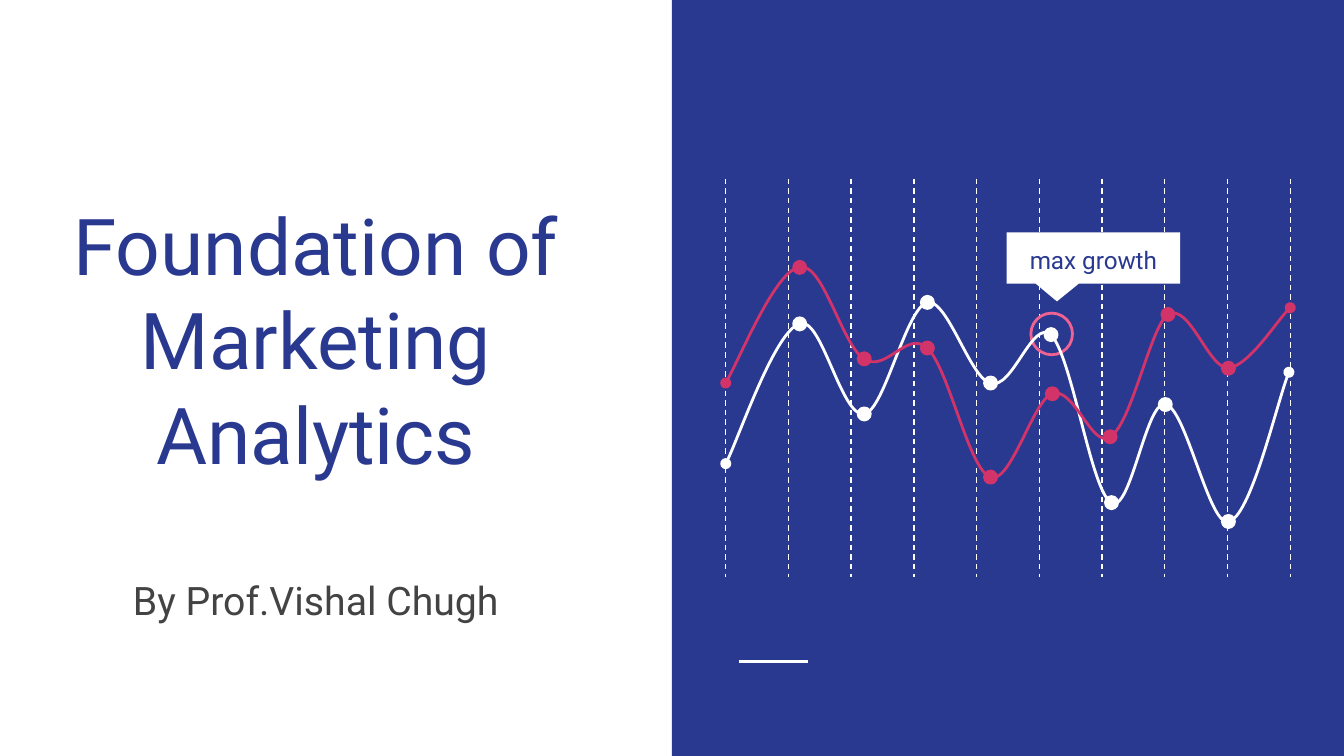
from lxml.etree import SubElement
from pptx import Presentation
from pptx.dml.color import RGBColor
from pptx.enum.dml import MSO_LINE
from pptx.enum.shapes import MSO_CONNECTOR, MSO_SHAPE
from pptx.enum.text import MSO_ANCHOR, MSO_AUTO_SIZE, PP_ALIGN
from pptx.oxml.ns import qn
from pptx.util import Inches, Pt

BLUE, WHITE, RED, PINK, GREY = "2A3990", "FFFFFF", "D23369", "F06292", "434343"
SLIDE_WIDTH = 10
SLIDE_HEIGHT = SLIDE_WIDTH * 9 / 16
DOT = 0.09
LINE_COUNT, GRID_LEFT, GRID_RIGHT = 10, 5.4, 9.6

# Each curve is a start point, then two control points and an end point per segment.
WHITE_CURVE = [
    (5.4, 3.45),
    (5.49, 3.28), (5.77, 2.46), (5.95, 2.41),
    (6.11, 2.34), (6.26, 3.11), (6.43, 3.08),
    (6.58, 3.06), (6.74, 2.29), (6.9, 2.25),
    (7.05, 2.22), (7.22, 2.82), (7.37, 2.85),
    (7.53, 2.91), (7.68, 2.37), (7.82, 2.49),
    (7.98, 2.66), (8.12, 3.67), (8.27, 3.74),
    (8.41, 3.83), (8.53, 2.97), (8.67, 3.01),
    (8.82, 3.02), (9, 3.93), (9.14, 3.88),
    (9.3, 3.86), (9.51, 2.96), (9.59, 2.77),
]
RED_CURVE = [
    (5.4, 2.85),
    (5.49, 2.7), (5.78, 2), (5.95, 1.99),
    (6.12, 1.94), (6.27, 2.58), (6.43, 2.67),
    (6.59, 2.78), (6.75, 2.45), (6.9, 2.59),
    (7.06, 2.74), (7.21, 3.5), (7.37, 3.55),
    (7.52, 3.61), (7.69, 2.97), (7.83, 2.93),
    (7.99, 2.87), (8.13, 3.35), (8.26, 3.25),
    (8.42, 3.16), (8.56, 2.43), (8.69, 2.34),
    (8.85, 2.25), (8.99, 2.74), (9.14, 2.74),
    (9.29, 2.72), (9.52, 2.36), (9.6, 2.29),
]


def rgb(color):
    return RGBColor.from_string(color)


def set_line(sp, color, width=1.5):
    sp.line.color.rgb = rgb(color)
    sp.line.width = Pt(width)


def add_shape(slide, kind, left, top, width, height, fill=None, line=None):
    sp = slide.shapes.add_shape(
        kind, Inches(left), Inches(top), Inches(width), Inches(height))
    sp.shadow.inherit = False
    if fill:
        sp.fill.solid()
        sp.fill.fore_color.rgb = rgb(fill)
    else:
        sp.fill.background()
    if line:
        set_line(sp, line)
    else:
        sp.line.fill.background()
    return sp


def add_line(slide, x1, y1, x2, y2, width):
    line = slide.shapes.add_connector(
        MSO_CONNECTOR.STRAIGHT, Inches(x1), Inches(y1), Inches(x2), Inches(y2))
    set_line(line, WHITE, width)
    SubElement(line._element.spPr, qn("a:effectLst"))
    return line


def add_curve(slide, points, color):
    """Draw a Bezier curve with round ends and a dot at each inner anchor."""
    start, *rest = [(Inches(x), Inches(y)) for x, y in points]
    builder = slide.shapes.build_freeform(*start)
    builder.add_line_segments(rest, close=False)
    sp = builder.convert_to_shape()
    sp.shadow.inherit = False
    sp.fill.background()
    set_line(sp, color)
    ln = sp.line._get_or_add_ln()
    for end in ("a:headEnd", "a:tailEnd"):
        SubElement(ln, qn(end), type="oval")

    # Turn every three straight segments into one cubic segment.
    segments = list(sp._element.iter(qn("a:lnTo")))
    outline = segments[0].getparent()
    for i in range(0, len(segments), 3):
        cubic = SubElement(outline, qn("a:cubicBezTo"))
        for segment in segments[i:i + 3]:
            cubic.append(segment[0])
            outline.remove(segment)

    for x, y in points[3:-1:3]:
        add_shape(slide, MSO_SHAPE.OVAL, x - DOT / 2, y - DOT / 2, DOT, DOT, color, color)


def set_text(sp, text, left, top, width, height, size, color, anchor=MSO_ANCHOR.TOP):
    sp.left, sp.top = Inches(left), Inches(top)
    sp.width, sp.height = Inches(width), Inches(height)
    tf = sp.text_frame
    tf.text = text
    tf.word_wrap = True
    tf.auto_size = MSO_AUTO_SIZE.NONE
    tf.vertical_anchor = anchor
    tf.margin_left = tf.margin_right = tf.margin_top = tf.margin_bottom = Inches(0.1)
    p = tf.paragraphs[0]
    p.alignment = PP_ALIGN.CENTER
    font = p.runs[0].font
    font.name, font.size = "Roboto", Pt(size)
    font.color.rgb = rgb(color)
    return p


def add_text(slide, *args):
    return set_text(slide.shapes.add_textbox(0, 0, 0, 0), *args)


def add_grid(slide):
    step = (GRID_RIGHT - GRID_LEFT) / (LINE_COUNT - 1)
    for i in range(LINE_COUNT):
        x = GRID_LEFT + i * step
        add_line(slide, x, 1.33, x, 4.29, 0.75).line.dash_style = MSO_LINE.DASH


def add_callout(slide):
    sp = add_shape(slide, MSO_SHAPE.ROUNDED_RECTANGULAR_CALLOUT,
                   7.49, 1.73, 1.29, 0.38, WHITE)
    for i, value in enumerate((-0.21, 0.85, 0)):
        sp.adjustments[i] = value


def main():
    prs = Presentation()
    prs.slide_width, prs.slide_height = Inches(SLIDE_WIDTH), Inches(SLIDE_HEIGHT)
    slide = prs.slides.add_slide(prs.slide_layouts[5])

    add_shape(slide, MSO_SHAPE.RECTANGLE, SLIDE_WIDTH / 2, 0,
              SLIDE_WIDTH / 2, SLIDE_HEIGHT, BLUE)
    add_line(slide, 5.5, 4.92, 6.01, 4.92, 1.5)
    set_text(slide.shapes.title, "Foundation of Marketing Analytics",
             0.14, 1.96, 4.42, 1.71, 42, BLUE, MSO_ANCHOR.BOTTOM)
    add_text(slide, "By Prof.Vishal Chugh", 0.14, 4.19, 4.42, 0.56, 21, GREY)

    add_grid(slide)
    add_shape(slide, MSO_SHAPE.OVAL, 7.67, 2.33, 0.31, 0.31, line=PINK)
    add_curve(slide, WHITE_CURVE, WHITE)
    add_callout(slide)
    add_curve(slide, RED_CURVE, RED)
    p = add_text(slide, "max growth", 7.49, 1.76, 1.29, 0.31, 13, BLUE, MSO_ANCHOR.MIDDLE)
    p.line_spacing = 1.15

    prs.save("out.pptx")


if __name__ == "__main__":
    main()
